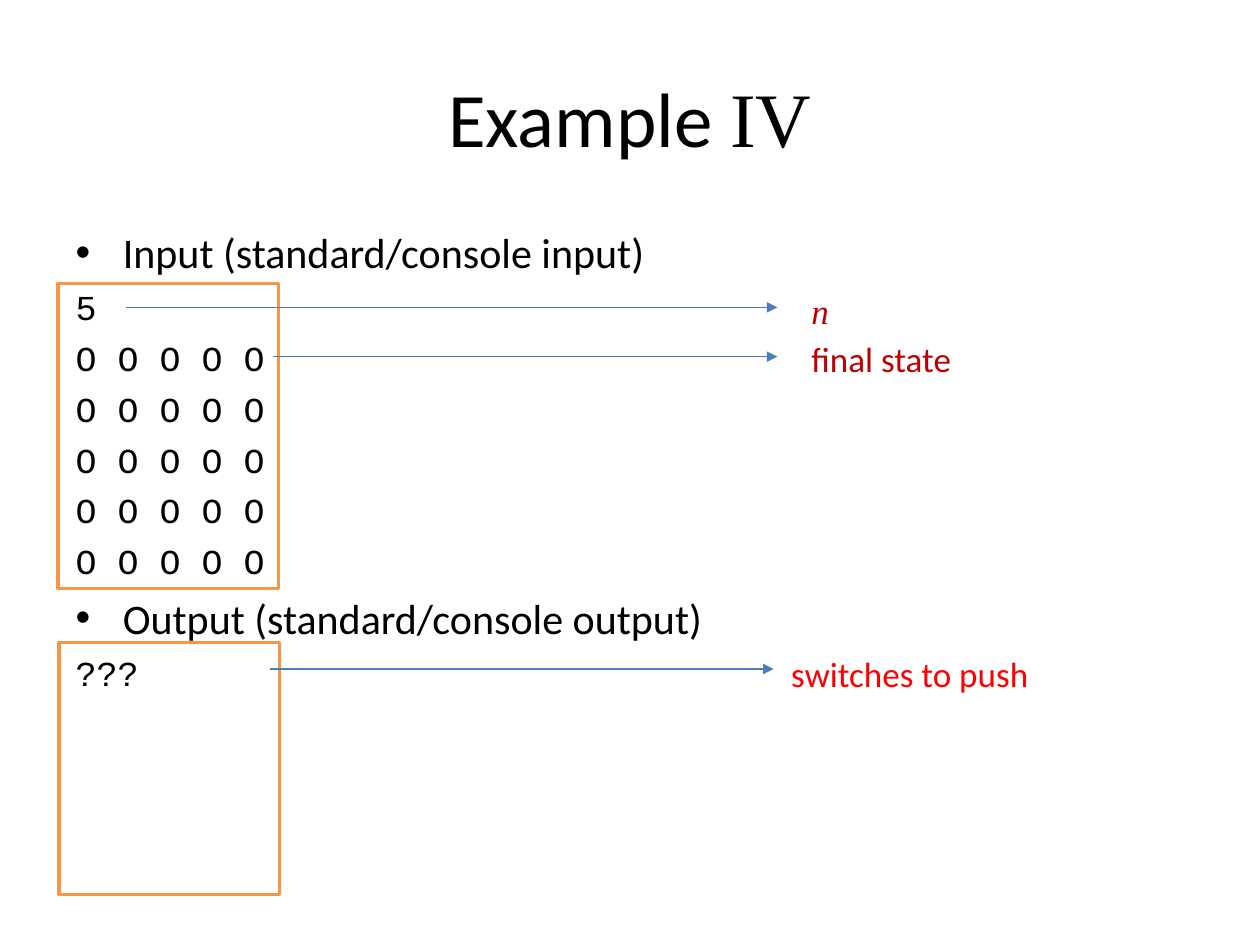
from lxml.etree import SubElement as Sub
from pptx import Presentation
from pptx.dml.color import RGBColor
from pptx.enum.shapes import MSO_CONNECTOR as Conn, MSO_SHAPE as Kind
from pptx.enum.text import MSO_AUTO_SIZE as Fit
from pptx.oxml.ns import qn
from pptx.util import Inches, Pt

SANS, MONO, SERIF = "Calibri", "Courier New", "Times New Roman"
TITLE = [("Example ", SANS), ("IV", SERIF)]
PARTS = [
    ("Input (standard/console input)", ["5"] + ["O O O O O"] * 5),
    ("Output (standard/console output)", ["???"]),
]
LABELS = [
    ("n", SERIF, "C00000", 6.44, 2.3),
    ("final state", SANS, "C00000", 6.44, 2.68),
    ("switches to push", SANS, "FF0000", 6.28, 5.18),
]
BOXES = [(0.46, 2.25, 1.75, 2.42), (0.47, 5.1, 1.75, 2)]
ARROWS = [(1, 6.17, 2.44), (2.17, 6.17, 2.83), (2.14, 6.14, 5.31)]


def ink(code):
    return RGBColor.from_string(code)


def add_run(para, text, face, hue="000000"):
    run = para.add_run()
    run.text = text
    run.font.name = face
    run.font.color.rgb = ink(hue)


def add_line(para, text, face, size, gap):
    para.font.size = Pt(size)
    para.space_before = Pt(gap)
    add_run(para, text, face)


def add_code(para, text):
    props = para._p.get_or_add_pPr()
    props.set("marL", "0")
    props.set("indent", "0")
    Sub(props, qn("a:buNone"))
    add_line(para, text, MONO, 20, 5)


def place(shape, *spot):
    shape.left, shape.top, shape.width, shape.height = map(Inches, spot)


deck = Presentation()
deck.slide_width, deck.slide_height = Inches(10), Inches(7.5)
slide = deck.slides.add_slide(deck.slide_layouts[1])
title, body = slide.placeholders

place(title, 0.5, 0.3, 9, 1.25)
head = title.text_frame.paragraphs[0]
head.font.size = Pt(44)
for text, face in TITLE:
    add_run(head, text, face)

place(body, 0.5, 1.75, 9, 4.95)
frame = body.text_frame
frame.auto_size = Fit.NONE
for spot, (name, lines) in enumerate(PARTS):
    para = frame.add_paragraph() if spot else frame.paragraphs[0]
    add_line(para, name, SANS, 24, 6)
    for text in lines:
        add_code(frame.add_paragraph(), text)

for spot in BOXES:
    box = slide.shapes.add_shape(Kind.RECTANGLE, *map(Inches, spot))
    box.shadow.inherit = False
    box.fill.background()
    box.line.color.rgb = ink("F79646")
    box.line.width = Pt(2)

for start, end, y in ARROWS:
    ends = map(Inches, (start, y, end, y))
    arrow = slide.shapes.add_connector(Conn.STRAIGHT, *ends)
    arrow.line.color.rgb = ink("4A7EBB")
    arrow.line.width = Pt(0.75)
    Sub(arrow.line._get_or_add_ln(), qn("a:tailEnd"), type="triangle")
    Sub(arrow._element.spPr, qn("a:effectLst"))

for text, face, hue, x, y in LABELS:
    note = slide.shapes.add_textbox(*map(Inches, (x, y, 2.5, 0.34))).text_frame
    note.word_wrap = True
    note.margin_left = note.margin_right = 0
    note.margin_top = note.margin_bottom = 0
    para = note.paragraphs[0]
    para.font.size = Pt(20)
    para.font.italic = face == SERIF
    add_run(para, text, face, hue)

deck.save("out.pptx")
